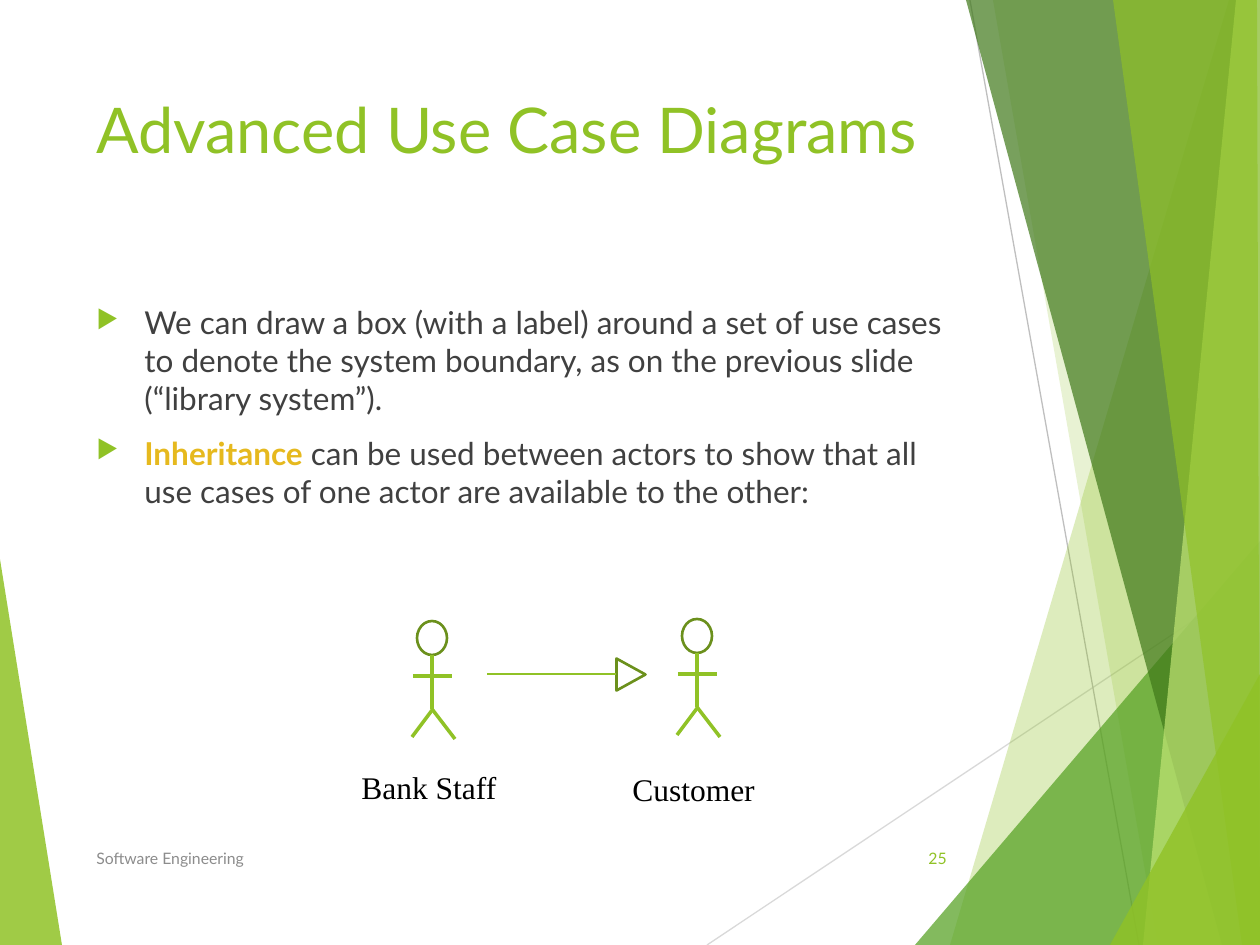
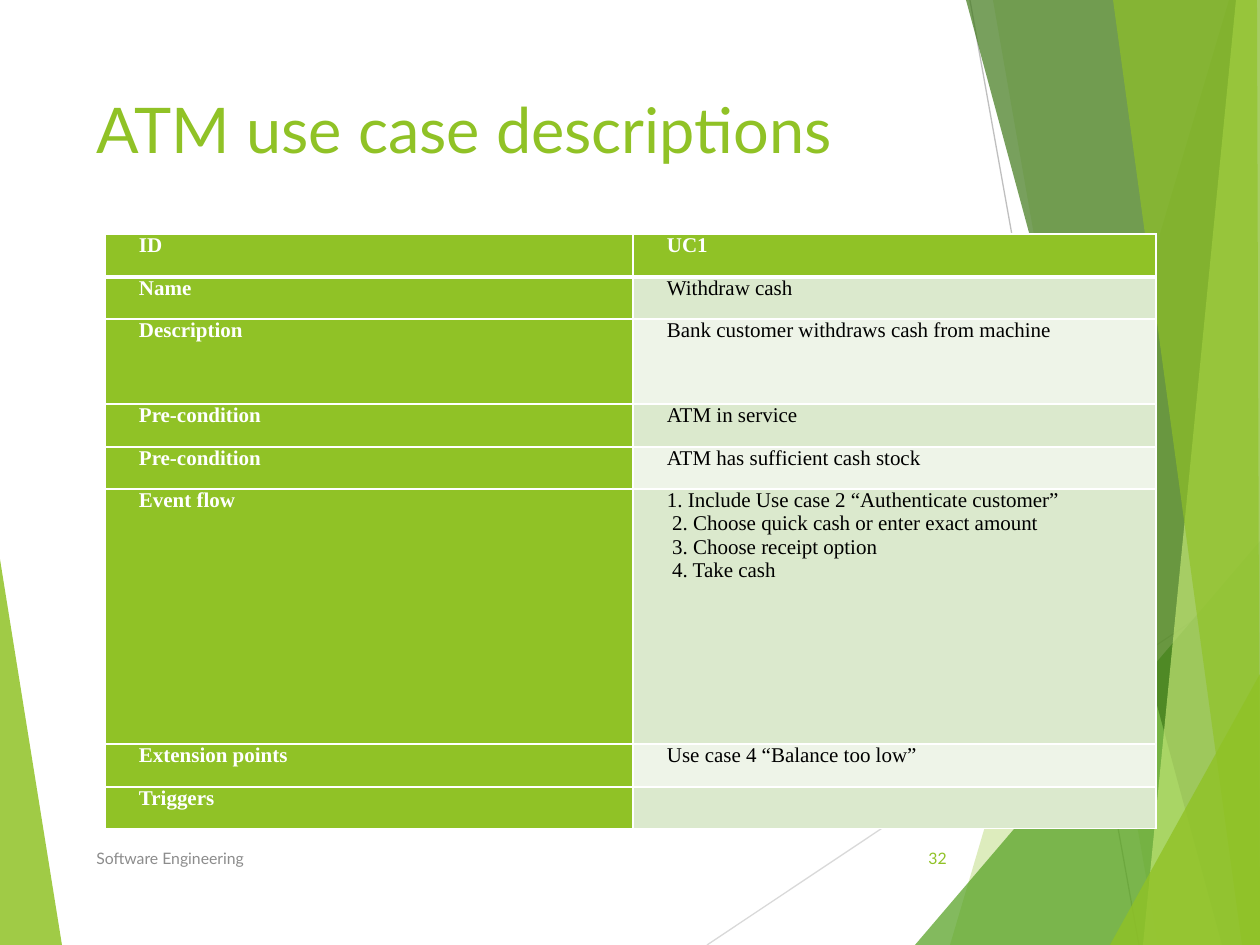
from dataclasses import dataclass
from typing import NamedTuple

from lxml import etree
from pptx import Presentation
from pptx.dml.color import RGBColor
from pptx.enum.shapes import MSO_CONNECTOR, MSO_SHAPE
from pptx.enum.text import MSO_ANCHOR, PP_ALIGN
from pptx.oxml.ns import qn
from pptx.util import Emu, Pt

STRAIGHT = MSO_CONNECTOR.STRAIGHT
OVAL = MSO_SHAPE.OVAL
TRIANGLE = MSO_SHAPE.ISOSCELES_TRIANGLE
TOP, MIDDLE = MSO_ANCHOR.TOP, MSO_ANCHOR.MIDDLE
LEFT, RIGHT = PP_ALIGN.LEFT, PP_ALIGN.RIGHT

PX = 914400 / 126
WIDTH, HEIGHT = 1260, 945

LIME = RGBColor(0x90, 0xC2, 0x26)
PALE_LIME = RGBColor(0xC0, 0xE4, 0x74)
LEAF = RGBColor(0x54, 0xA0, 0x21)
FOREST = RGBColor(0x3F, 0x78, 0x19)
OLIVE = RGBColor(0x6B, 0x90, 0x1C)
GOLD = RGBColor(0xE6, 0xB9, 0x1E)
WHITE = RGBColor(0xFF, 0xFF, 0xFF)
BLACK = RGBColor(0, 0, 0)
CHARCOAL = RGBColor(0x40, 0x40, 0x40)
GRAY = RGBColor(0x8C, 0x8C, 0x8C)
SILVER = RGBColor(0xBF, 0xBF, 0xBF)
LIGHT_SILVER = RGBColor(0xD9, 0xD9, 0xD9)
ROW_TINTS = (RGBColor(0xEE, 0xF4, 0xE8), RGBColor(0xDB, 0xE9, 0xCD))

SANS, SERIF = "Lato", "Times New Roman"


class Box(NamedTuple):
    left: int
    top: int
    width: int
    height: int


class Point(NamedTuple):
    x: int
    y: int


@dataclass(frozen=True)
class Style:
    font: str
    size: int
    color: RGBColor
    bold: bool = False


@dataclass(frozen=True)
class Band:
    color: RGBColor
    opacity: int
    corners: tuple


@dataclass(frozen=True)
class Stroke:
    start: Point
    end: Point
    color: RGBColor
    weight: float


@dataclass(frozen=True)
class Actor:
    label: str
    head: Point
    label_box: Box


@dataclass(frozen=True)
class UseCaseField:
    heading: str
    detail: str
    height: int


TITLE = Style(SANS, 36, LIME)
BODY = Style(SANS, 18, CHARCOAL)
KEYWORD = Style(SANS, 18, GOLD, True)
FOOTER = Style(SANS, 9, GRAY)
PAGE_NUMBER = Style(SANS, 9, LIME)
ACTOR_LABEL = Style(SERIF, 18, BLACK)
HEADING_CELL = Style(SERIF, 12, WHITE, True)
DETAIL_CELL = Style(SERIF, 12, BLACK)

TITLE_BOX = Box(84, 84, 874, 181)
BODY_BOX = Box(84, 297, 874, 534)
FOOTER_BOX = Box(84, 833, 638, 50)
PAGE_NUMBER_BOX = Box(888, 833, 71, 50)

LEFT_BAND = Band(LIME, 85, ((0, 559), (62, HEIGHT), (0, HEIGHT)))
HAIRLINES = (
    Stroke(Point(707, HEIGHT), Point(WIDTH, 576), LIGHT_SILVER, 0.75),
    Stroke(Point(970, 0), Point(1139, HEIGHT), SILVER, 0.75),
)
RIGHT_BANDS = (
    Band(LIME, 30, ((1229, 0), (950, HEIGHT), (WIDTH, HEIGHT), (WIDTH, 0))),
    Band(LIME, 20, ((993, 0), (1158, HEIGHT), (WIDTH, HEIGHT), (WIDTH, 0))),
    Band(LEAF, 72, ((915, HEIGHT), (WIDTH, 541), (WIDTH, HEIGHT))),
    Band(FOREST, 70, ((966, 0), (1222, HEIGHT), (WIDTH, HEIGHT), (WIDTH, 0))),
    Band(PALE_LIME, 70, ((1236, 0), (1143, HEIGHT), (WIDTH, HEIGHT), (WIDTH, 0))),
    Band(LIME, 65, ((1113, 0), (1242, HEIGHT), (WIDTH, HEIGHT), (1257, 0))),
    Band(LIME, 80, ((1110, HEIGHT), (WIDTH, 674), (WIDTH, HEIGHT))),
)

BULLETS = (
    (("We can draw a box (with a label) around a set of use cases to denote the "
      "system boundary, as on the previous slide (“library system”).", BODY),),
    (("Inheritance", KEYWORD),
     (" can be used between actors to show that all use cases of one actor are "
      "available to the other:", BODY)),
)

HEAD_WIDTH, HEAD_HEIGHT = 30, 34
LIMBS = (
    (Point(15, 34), Point(15, 88)),
    (Point(16, 88), Point(-5, 116)),
    (Point(15, 88), Point(38, 118)),
    (Point(-4, 55), Point(35, 55)),
)
ACTORS = (
    Actor("Customer", Point(682, 619), Box(620, 764, 263, 50)),
    Actor("Bank Staff", Point(417, 621), Box(349, 762, 173, 50)),
)
ARROWHEAD_BOX = Box(615, 660, 32, 29)
INHERITANCE = Stroke(Point(616, 674), Point(487, 674), LIME, 1.5)

TABLE_ORIGIN = Point(105, 234)
COLUMN_WIDTHS = (528, 523)
CELL_MARGIN, CELL_INDENT = 9, 25
FIELDS = (
    UseCaseField("ID", "UC1", 43),
    UseCaseField("Name", "Withdraw cash", 42),
    UseCaseField("Description", "Bank customer withdraws cash from machine", 85),
    UseCaseField("Pre-condition", "ATM in service", 43),
    UseCaseField("Pre-condition", "ATM has sufficient cash stock", 42),
    UseCaseField("Event flow",
                 "1. Include Use case 2 “Authenticate customer”\n"
                 " 2. Choose quick cash or enter exact amount\n"
                 " 3. Choose receipt option\n"
                 " 4. Take cash", 255),
    UseCaseField("Extension points", "Use case 4 “Balance too low”", 43),
    UseCaseField("Triggers", "", 42),
)


def px(length: float) -> Emu:
    return Emu(round(length * PX))


def emu_box(box: Box) -> list:
    return [px(length) for length in box]


def format_run(run, style: Style) -> None:
    run.font.name = style.font
    run.font.size = Pt(style.size)
    run.font.bold = style.bold
    run.font.color.rgb = style.color


def add_text(slide, box: Box, text: str, style: Style, anchor=TOP, align=LEFT):
    frame = slide.shapes.add_textbox(*emu_box(box)).text_frame
    frame.word_wrap = True
    frame.vertical_anchor = anchor
    frame.text = text
    paragraph = frame.paragraphs[0]
    paragraph.alignment = align
    for run in paragraph.runs:
        format_run(run, style)
    return frame


def add_band(slide, band: Band) -> None:
    start, *rest = band.corners
    builder = slide.shapes.build_freeform(*start, scale=PX)
    builder.add_line_segments(rest, close=True)
    shape = builder.convert_to_shape()
    shape.shadow.inherit = False
    shape.line.fill.background()
    shape.fill.solid()
    shape.fill.fore_color.rgb = band.color
    color = shape._element.xpath("./p:spPr/a:solidFill/a:srgbClr")[0]
    etree.SubElement(color, qn("a:alpha"), val=str(band.opacity * 1000))


def add_stroke(slide, stroke: Stroke) -> None:
    connector = slide.shapes.add_connector(
        STRAIGHT, *(px(length) for length in (*stroke.start, *stroke.end)))
    connector.line.color.rgb = stroke.color
    connector.line.width = Pt(stroke.weight)
    etree.SubElement(connector._element.spPr, qn("a:effectLst"))


def add_outline(slide, preset, box: Box, rotation: int = 0) -> None:
    shape = slide.shapes.add_shape(preset, *emu_box(box))
    shape.shadow.inherit = False
    shape.fill.background()
    shape.line.color.rgb = OLIVE
    shape.line.width = Pt(1.5)
    shape.rotation = rotation


def add_actor(slide, actor: Actor) -> None:
    x, y = actor.head
    add_outline(slide, OVAL, Box(x, y, HEAD_WIDTH, HEAD_HEIGHT))
    for start, end in LIMBS:
        add_stroke(slide, Stroke(Point(x + start.x, y + start.y),
                                 Point(x + end.x, y + end.y), LIME, 2))
    add_text(slide, actor.label_box, actor.label, ACTOR_LABEL)


def add_bullet_mark(paragraph) -> None:
    paragraph.space_before = Pt(10)
    properties = paragraph._p.get_or_add_pPr()
    properties.set("marL", str(px(48)))
    properties.set("indent", str(px(-48)))
    mark_color = etree.SubElement(properties, qn("a:buClr"))
    etree.SubElement(mark_color, qn("a:srgbClr"), val=str(LIME))
    etree.SubElement(properties, qn("a:buSzPct"), val="80000")
    etree.SubElement(properties, qn("a:buChar"), char="▶")


def add_bullets(slide) -> None:
    frame = add_text(slide, BODY_BOX, "", BODY)
    for index, pieces in enumerate(BULLETS):
        paragraph = frame.add_paragraph() if index else frame.paragraphs[0]
        add_bullet_mark(paragraph)
        for text, style in pieces:
            run = paragraph.add_run()
            run.text = text
            format_run(run, style)


def set_border(cell, side: str, weight: int) -> None:
    border = etree.SubElement(cell._tc.get_or_add_tcPr(), qn(f"a:ln{side}"),
                              w=str(Pt(weight)))
    fill = etree.SubElement(border, qn("a:solidFill"))
    etree.SubElement(fill, qn("a:srgbClr"), val=str(WHITE))


def fill_cell(cell, text: str, style: Style, color: RGBColor, row: int) -> None:
    weights = {"L": 1, "R": 1, "T": 3 if row == 1 else 1, "B": 3 if row == 0 else 1}
    for side, weight in weights.items():
        set_border(cell, side, weight)
    cell.fill.solid()
    cell.fill.fore_color.rgb = color
    cell.margin_left = cell.margin_right = px(CELL_MARGIN)
    cell.margin_top = cell.margin_bottom = 0
    cell.text_frame.text = text
    for paragraph in cell.text_frame.paragraphs:
        properties = paragraph._p.get_or_add_pPr()
        properties.set("marL", str(px(CELL_INDENT)))
        properties.set("indent", "0")
        for run in paragraph.runs:
            format_run(run, style)


def add_use_case_table(slide) -> None:
    area = Box(*TABLE_ORIGIN, sum(COLUMN_WIDTHS), sum(field.height for field in FIELDS))
    table = slide.shapes.add_table(len(FIELDS), len(COLUMN_WIDTHS), *emu_box(area)).table
    table.first_row = table.horz_banding = False
    for column, width in zip(table.columns, COLUMN_WIDTHS):
        column.width = px(width)
    for row, field in enumerate(FIELDS):
        table.rows[row].height = px(field.height)
        fill_cell(table.cell(row, 0), field.heading, HEADING_CELL, LIME, row)
        style, color = (DETAIL_CELL, ROW_TINTS[row % 2]) if row else (HEADING_CELL, LIME)
        fill_cell(table.cell(row, 1), field.detail, style, color, row)


def add_themed_slide(deck, title: str, number: int):
    slide = deck.slides.add_slide(deck.slide_layouts[6])
    add_band(slide, LEFT_BAND)
    for hairline in HAIRLINES:
        add_stroke(slide, hairline)
    for band in RIGHT_BANDS:
        add_band(slide, band)
    add_text(slide, TITLE_BOX, title, TITLE)
    add_text(slide, FOOTER_BOX, "Software Engineering", FOOTER, MIDDLE)
    add_text(slide, PAGE_NUMBER_BOX, str(number), PAGE_NUMBER, MIDDLE, RIGHT)
    return slide


def main() -> None:
    deck = Presentation()
    deck.slide_width, deck.slide_height = px(WIDTH), px(HEIGHT)

    diagrams = add_themed_slide(deck, "Advanced Use Case Diagrams", 25)
    add_bullets(diagrams)
    for actor in ACTORS:
        add_actor(diagrams, actor)
    add_outline(diagrams, TRIANGLE, ARROWHEAD_BOX, 90)
    add_stroke(diagrams, INHERITANCE)

    descriptions = add_themed_slide(deck, "ATM use case descriptions", 32)
    add_use_case_table(descriptions)

    deck.save("out.pptx")


if __name__ == "__main__":
    main()
